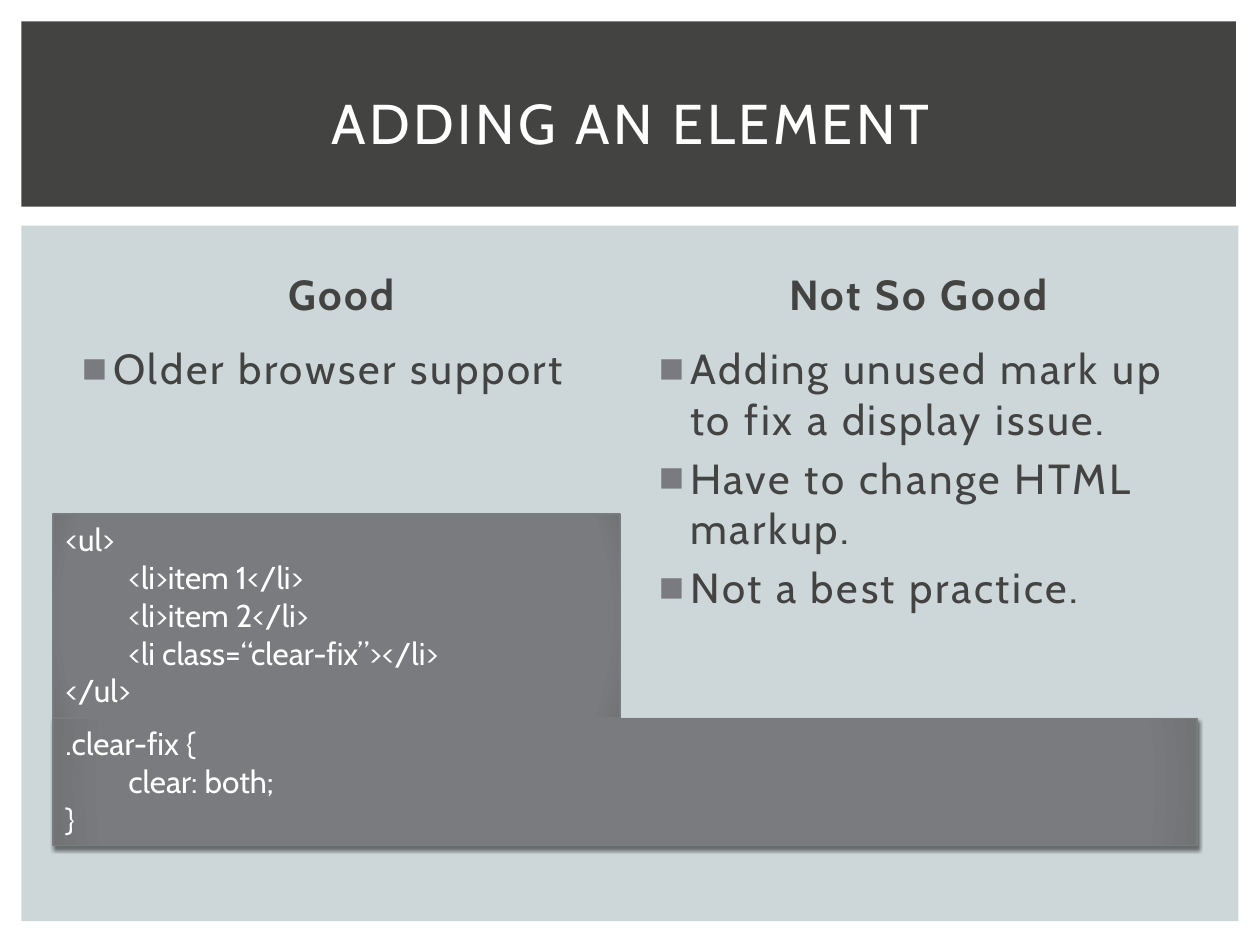
from pptx import Presentation
from pptx.dml.color import RGBColor
from pptx.enum.shapes import MSO_SHAPE as Shape
from pptx.enum.text import MSO_ANCHOR as Anchor, MSO_AUTO_SIZE as AutoSize, PP_ALIGN as Align
from pptx.oxml import parse_xml
from pptx.oxml.ns import nsdecls, qn
from pptx.util import Pt

PX = 9144
FONT = "Cabin"
DARK = RGBColor(0x43, 0x43, 0x42)
PALE = RGBColor(0xCD, 0xD7, 0xD9)
GRAY = RGBColor(0x79, 0x7B, 0x7E)
EDGE = RGBColor(0x71, 0x73, 0x75)
BLACK = RGBColor(0, 0, 0)
WHITE = RGBColor(0xFF, 0xFF, 0xFF)

GRADIENT = f"""<a:gradFill {nsdecls('a')} rotWithShape="1"><a:gsLst>
<a:gs pos="0"><a:srgbClr val="{GRAY}"/></a:gs>
<a:gs pos="90000"><a:srgbClr val="{GRAY}"/></a:gs>
<a:gs pos="100000"><a:srgbClr val="{EDGE}"/></a:gs></a:gsLst>
<a:path path="circle"><a:fillToRect l="100000" t="100000" r="100000" b="100000"/></a:path>
</a:gradFill>"""
SHADOW = f"""<a:outerShdw {nsdecls('a')} blurRad="{Pt(2.5)}" dist="{Pt(2)}" dir="5400000" rotWithShape="0">
<a:srgbClr val="{BLACK}"><a:alpha val="50000"/></a:srgbClr></a:outerShdw>"""


def write(shape, lines, size=24, color=DARK, bold=False, align=Align.LEFT,
          anchor=Anchor.TOP, before=0, spacing=0, bullet=False):
    frame = shape.text_frame
    frame.word_wrap = True
    frame.auto_size = AutoSize.NONE
    frame.vertical_anchor = anchor
    for index, line in enumerate(lines):
        paragraph = frame.add_paragraph() if index else frame.paragraphs[0]
        paragraph.alignment = align
        paragraph.space_before = Pt(before)
        run = paragraph.add_run()
        run.text = line
        run.font.name = FONT
        run.font.size = Pt(size)
        run.font.bold = bold
        run.font.color.rgb = color
        run._r.get_or_add_rPr().set("spc", str(spacing))
        if bullet:
            properties = paragraph._p.get_or_add_pPr()
            properties.set("marL", str(30 * PX))
            properties.set("indent", str(-25 * PX))
            for xml in (f'<a:buClr {nsdecls("a")}><a:srgbClr val="{GRAY}"/></a:buClr>',
                        f'<a:buChar {nsdecls("a")} char="■"/>'):
                properties.append(parse_xml(xml))


def add_box(left, top, width, height, color):
    shape = slide.shapes.add_shape(Shape.RECTANGLE, left * PX, top * PX, width * PX, height * PX)
    shape.shadow.inherit = False
    shape.fill.solid()
    shape.fill.fore_color.rgb = color
    shape.line.fill.background()
    return shape


presentation = Presentation()
presentation.slide_width = 1000 * PX
presentation.slide_height = 750 * PX
slide = presentation.slides.add_slide(presentation.slide_layouts[4])

panel = add_box(17, 179, 966, 552, PALE)
banner = add_box(17, 17, 964, 147, DARK)
for position, shape in enumerate((panel, banner), start=2):
    slide.shapes._spTree.insert(position, shape._element)

heading = dict(bold=True, align=Align.CENTER, anchor=Anchor.BOTTOM, before=5, spacing=150)
points = dict(before=5, spacing=150, bullet=True)
title = dict(size=32, color=WHITE, align=Align.CENTER, anchor=Anchor.MIDDLE, spacing=200)
placeholders = [
    (1, 50, 188, 442, 70, ["Good"], heading),
    (2, 50, 267, 442, 403, ["Older browser support"], points),
    (3, 508, 188, 442, 70, ["Not So Good"], heading),
    (4, 508, 267, 442, 304, ["Adding unused mark up to fix a display issue.",
                             "Have to change HTML markup.", "Not a best practice."], points),
    (0, 42, 39, 917, 115, ["ADDING AN ELEMENT"], title),
]
for index, left, top, width, height, lines, style in placeholders:
    placeholder = slide.placeholders[index]
    placeholder.left, placeholder.top = left * PX, top * PX
    placeholder.width, placeholder.height = width * PX, height * PX
    write(placeholder, lines, **style)
for index in (10, 11, 12):
    for placeholder in list(slide.placeholders):
        if placeholder.placeholder_format.idx == index:
            slide.shapes._spTree.remove(placeholder._element)

code_boxes = [
    (570, 908, 101, True, [".clear-fix {", "\tclear: both;", "}"]),
    (408, 450, 162, False, ["<ul>", "\t<li>item 1</li>", "\t<li>item 2</li>",
                            "\t<li class=“clear-fix”></li>", "</ul>"]),
]
for top, width, height, has_shadow, lines in code_boxes:
    box = add_box(42, top, width, height, GRAY)
    box.line.color.rgb = GRAY
    box.line.width = Pt(0.79)
    properties = box._element.spPr
    properties.replace(properties.find(qn("a:solidFill")), parse_xml(GRADIENT))
    if has_shadow:
        properties.find(qn("a:effectLst")).append(parse_xml(SHADOW))
    write(box, lines, size=18, color=WHITE)

presentation.save("out.pptx")
